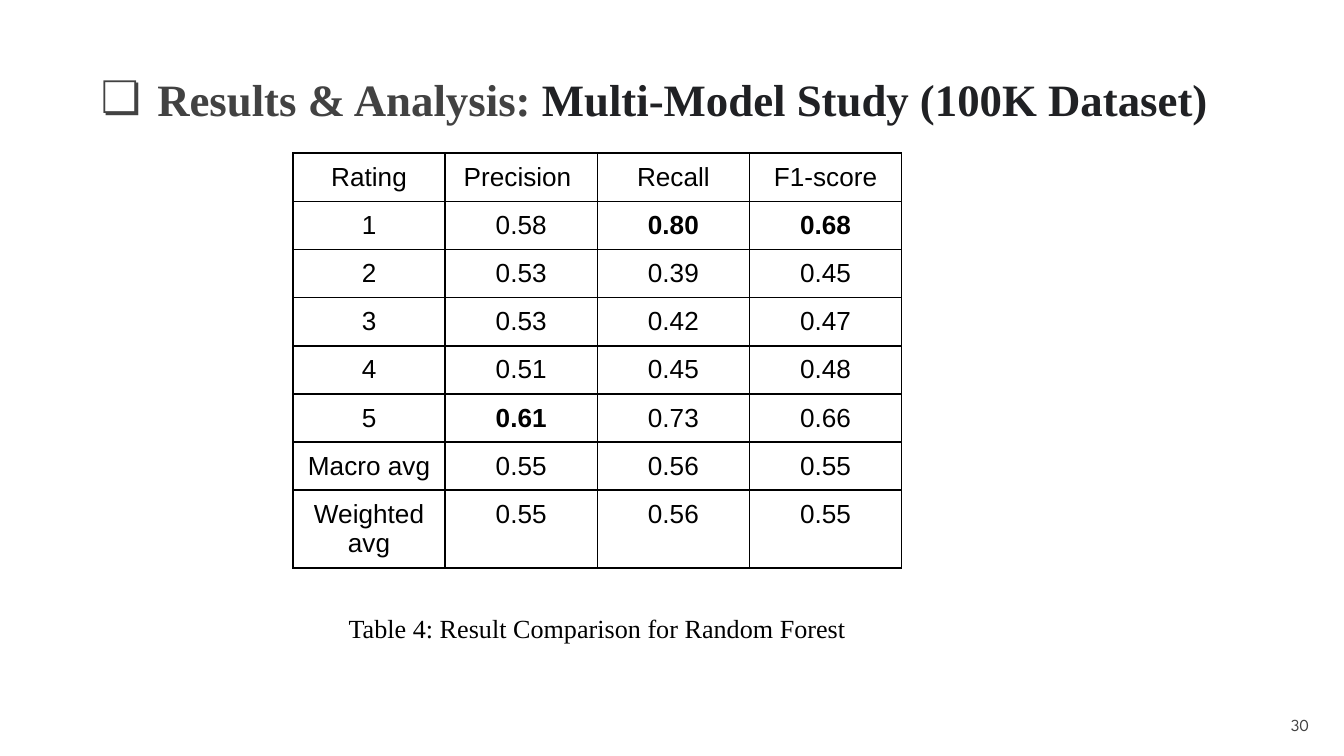
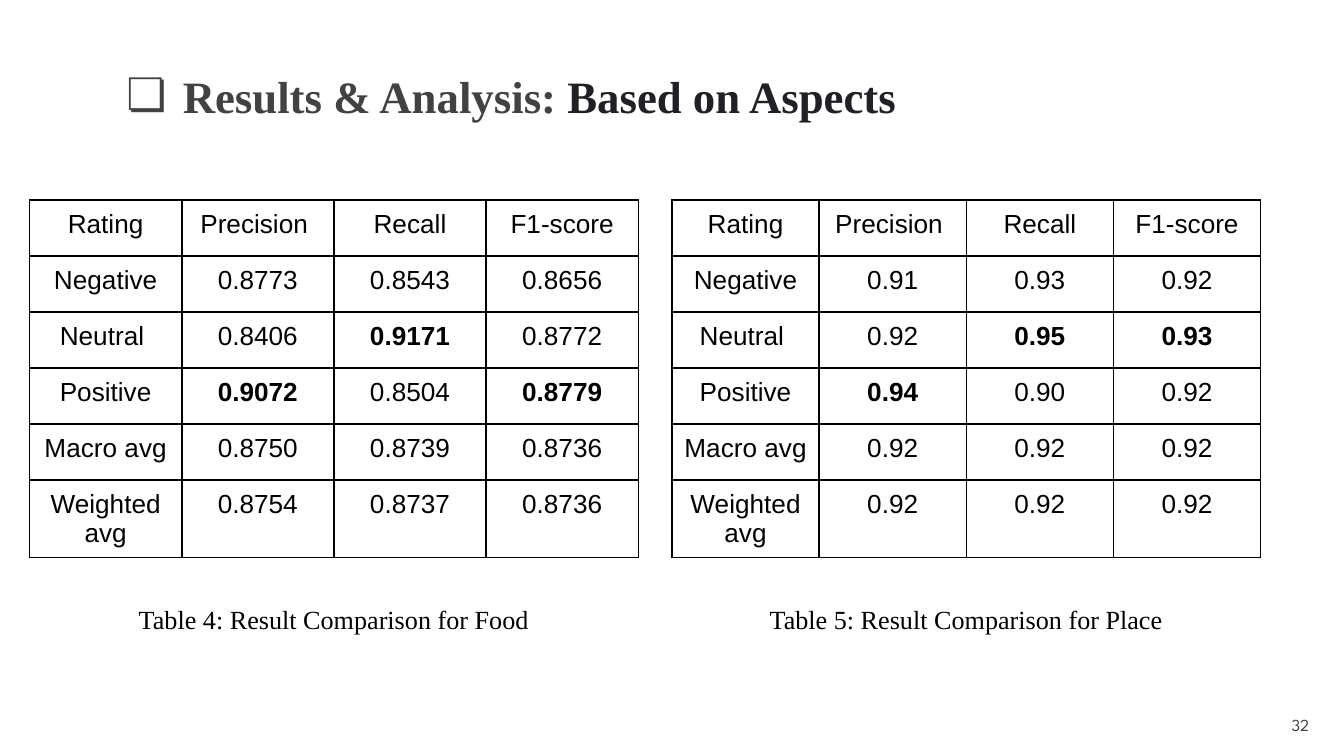
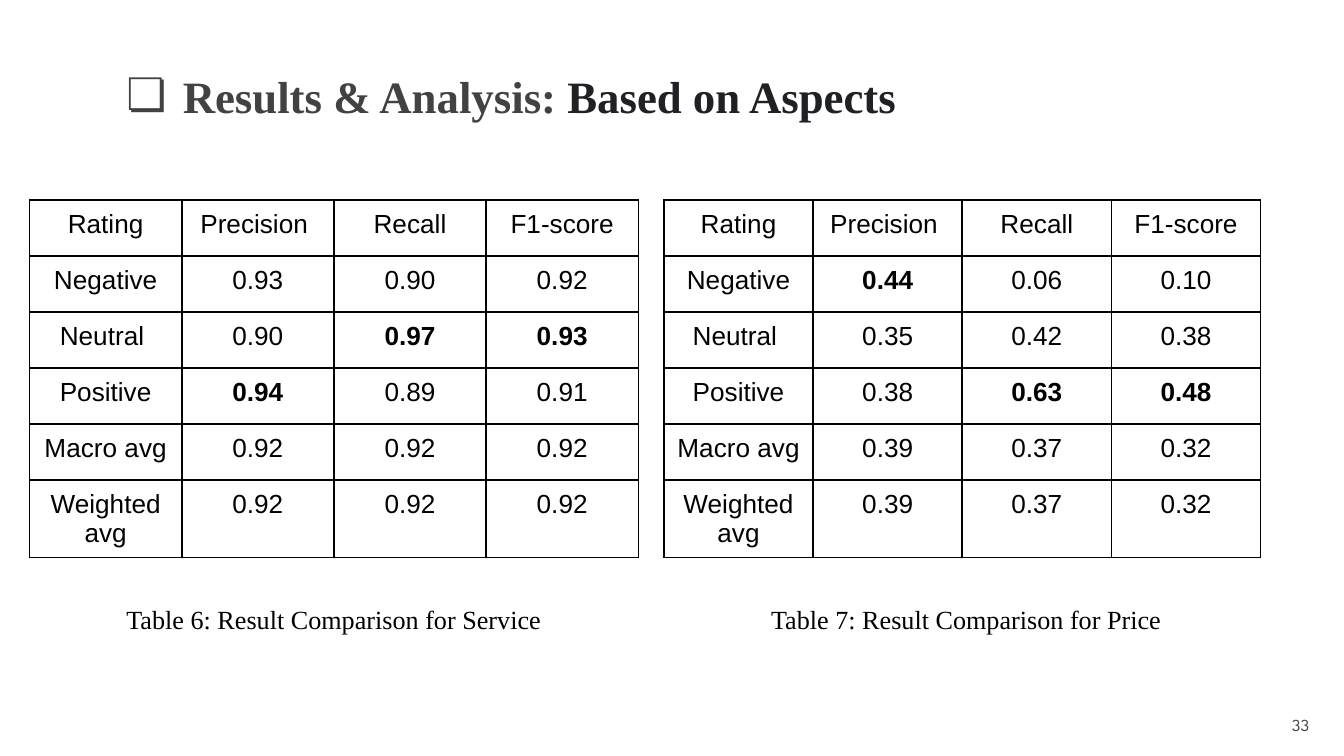
from dataclasses import dataclass

from lxml import etree
from pptx import Presentation
from pptx.dml.color import RGBColor
from pptx.enum.text import MSO_ANCHOR, MSO_AUTO_SIZE, PP_ALIGN
from pptx.oxml.ns import qn
from pptx.util import Inches, Pt

LEFT, CENTER, RIGHT = PP_ALIGN.LEFT, PP_ALIGN.CENTER, PP_ALIGN.RIGHT
TOP, MIDDLE = MSO_ANCHOR.TOP, MSO_ANCHOR.MIDDLE
NO_AUTOFIT = MSO_AUTO_SIZE.NONE
TITLE_ONLY = 5


@dataclass(frozen=True)
class Theme:
    """Colours, fonts, type sizes and spacing shared by all slides."""
    grey: str = "424242"
    dark: str = "202124"
    black: str = "000000"
    white: str = "FFFFFF"
    serif: str = "Times New Roman"
    sans: str = "Arial"
    number_font: str = "League Spartan"
    title_size: int = 24
    body_size: int = 14
    number_size: int = 9
    inset: float = 0.1
    cell_inset: float = 0.07
    border: int = 1


THEME = Theme()
HEADINGS = ("Rating", "Precision ", "Recall", "F1-score")
STARS = ("1", "2", "3", "4", "5", "Macro avg", "Weighted avg")
SENTIMENTS = ("Negative", "Neutral ", "Positive", "Macro avg", "Weighted avg")
ASPECT_TITLE = ("Based on Aspects", (0.76, 0.21, 7.48, 1.04))
FOREST_SCORES = (
    ("0.58", "0.80", "0.68"), ("0.53", "0.39", "0.45"), ("0.53", "0.42", "0.47"),
    ("0.51", "0.45", "0.48"), ("0.61", "0.73", "0.66"), ("0.55", "0.56", "0.55"),
    ("0.55", "0.56", "0.55"),
)
FOOD_SCORES = (
    ("0.8773", "0.8543", "0.8656"), ("0.8406", "0.9171", "0.8772"),
    ("0.9072", "0.8504", "0.8779"), ("0.8750", "0.8739", "0.8736"),
    ("0.8754", "0.8737", "0.8736"),
)
PLACE_SCORES = (
    ("0.91", "0.93", "0.92"), ("0.92", "0.95", "0.93"), ("0.94", "0.90", "0.92"),
    ("0.92", "0.92", "0.92"), ("0.92", "0.92", "0.92"),
)
SERVICE_SCORES = (
    ("0.93", "0.90", "0.92"), ("0.90", "0.97", "0.93"), ("0.94", "0.89", "0.91"),
    ("0.92", "0.92", "0.92"), ("0.92", "0.92", "0.92"),
)
PRICE_SCORES = (
    ("0.44", "0.06", "0.10"), ("0.35", "0.42", "0.38"), ("0.38", "0.63", "0.48"),
    ("0.39", "0.37", "0.32"), ("0.39", "0.37", "0.32"),
)


def rgb(color):
    """Turn a hex string into a colour."""
    return RGBColor.from_string(color)


def style_para(para, font, size, color, align, bold=False):
    """Set the font and alignment of a whole paragraph."""
    para.alignment = align
    para.font.name = font
    para.font.size = Pt(size)
    para.font.bold = bold
    para.font.color.rgb = rgb(color)


def prepare_frame(frame, anchor):
    """Give a text frame the shared insets, wrapping and anchor."""
    frame.word_wrap = True
    frame.auto_size = NO_AUTOFIT
    frame.vertical_anchor = anchor
    frame.margin_left = frame.margin_right = Inches(THEME.inset)
    frame.margin_top = frame.margin_bottom = Inches(THEME.inset)


def add_bullet(para, symbol, color):
    """Put a coloured bullet with a hanging indent on a paragraph."""
    properties = para._p.get_or_add_pPr()
    properties.set("marL", str(Inches(0.5)))
    properties.set("indent", str(Inches(-0.42)))
    bullet_color = etree.SubElement(properties, qn("a:buClr"))
    etree.SubElement(bullet_color, qn("a:srgbClr"), val=color)
    etree.SubElement(properties, qn("a:buFont"), typeface=THEME.sans)
    etree.SubElement(properties, qn("a:buChar"), char=symbol)


def add_title(page, topic, box):
    """Fill the title placeholder with the section name and the topic."""
    title = page.shapes.title
    title.left, title.top, title.width, title.height = map(Inches, box)
    prepare_frame(title.text_frame, TOP)
    para = title.text_frame.paragraphs[0]
    add_bullet(para, "❏", THEME.grey)
    para.line_spacing = 1.5
    style_para(para, THEME.serif, THEME.title_size, THEME.grey, LEFT, bold=True)
    for text, color in (("Results & Analysis: ", THEME.grey), (topic, THEME.dark)):
        span = para.add_run()
        span.text = text
        span.font.color.rgb = rgb(color)


def add_text(page, text, box, font, size, color, align, anchor=TOP):
    """Add a one-paragraph text box."""
    frame = page.shapes.add_textbox(*map(Inches, box)).text_frame
    prepare_frame(frame, anchor)
    para = frame.paragraphs[0]
    para.text = text
    style_para(para, font, size, color, align)


def add_caption(page, text, box):
    """Add a centred table caption."""
    add_text(page, text, box, THEME.serif, THEME.body_size, THEME.black, CENTER)


def border_cell(cell):
    """Draw a solid line on the four sides of a cell."""
    properties = cell._tc.get_or_add_tcPr()
    for side in ("a:lnL", "a:lnR", "a:lnT", "a:lnB"):
        line = etree.SubElement(properties, qn(side), w=str(Pt(THEME.border)))
        fill = etree.SubElement(line, qn("a:solidFill"))
        etree.SubElement(fill, qn("a:srgbClr"), val=THEME.black)


def fill_cell(cell, text, bold):
    """Write and format one table cell."""
    border_cell(cell)
    cell.fill.background()
    cell.margin_left = cell.margin_right = Inches(THEME.cell_inset)
    cell.margin_top = cell.margin_bottom = Inches(THEME.cell_inset)
    para = cell.text_frame.paragraphs[0]
    para.text = text
    style_para(para, THEME.sans, THEME.body_size, THEME.black, CENTER, bold)


def add_score_table(page, labels, scores, box):
    """Add a score table with the best value of each column in bold."""
    best = [None, *(max(column, key=float) for column in zip(*scores))]
    rows = [HEADINGS, *((label, *values) for label, values in zip(labels, scores))]
    table = page.shapes.add_table(len(rows), len(HEADINGS), *map(Inches, box)).table
    table.first_row = table.horz_banding = False
    for row, texts in enumerate(rows):
        for column, text in enumerate(texts):
            fill_cell(table.cell(row, column), text, text == best[column])


def add_page(deck, topic, title_box, number):
    """Add a slide with its title and page number."""
    page = deck.slides.add_slide(deck.slide_layouts[TITLE_ONLY])
    page.background.fill.solid()
    page.background.fill.fore_color.rgb = rgb(THEME.white)
    add_title(page, topic, title_box)
    add_text(page, number, (9.24, 5.18, 0.6, 0.43), THEME.number_font,
             THEME.number_size, THEME.grey, RIGHT, MIDDLE)
    return page


def build_model_page(deck):
    """Build the slide with the random forest scores."""
    page = add_page(deck, "Multi-Model Study (100K Dataset)",
                    (0.57, 0.23, 8.86, 0.71), "30")
    add_score_table(page, STARS, FOREST_SCORES, (2.18, 1.14, 4.53, 2.72))
    add_caption(page, "Table 4: Result Comparison for Random Forest",
                (2.18, 4.46, 4.53, 0.42))


def build_aspect_page(deck, number, left_scores, left_caption,
                      right_scores, right_caption, right_box):
    """Build a slide that sets two aspect tables side by side."""
    page = add_page(deck, *ASPECT_TITLE, number)
    for scores, (left, width) in ((left_scores, (0.22, 4.53)), (right_scores, right_box)):
        add_score_table(page, SENTIMENTS, scores, (left, 1.49, width, 2.5))
    add_caption(page, left_caption, (0.22, 4.39, 4.53, 0.42))
    add_caption(page, right_caption, (5, 4.39, 4.38, 0.42))


def main():
    """Build and save the deck."""
    deck = Presentation()
    deck.slide_width = Inches(10)
    deck.slide_height = deck.slide_width * 9 // 16
    build_model_page(deck)
    build_aspect_page(deck, "32", FOOD_SCORES, "Table 4: Result Comparison for Food",
                      PLACE_SCORES, "Table 5: Result Comparison for Place", (5, 4.38))
    build_aspect_page(deck, "33", SERVICE_SCORES, "Table 6: Result Comparison for Service",
                      PRICE_SCORES, "Table 7: Result Comparison for Price", (4.94, 4.44))
    deck.save("out.pptx")


if __name__ == "__main__":
    main()
